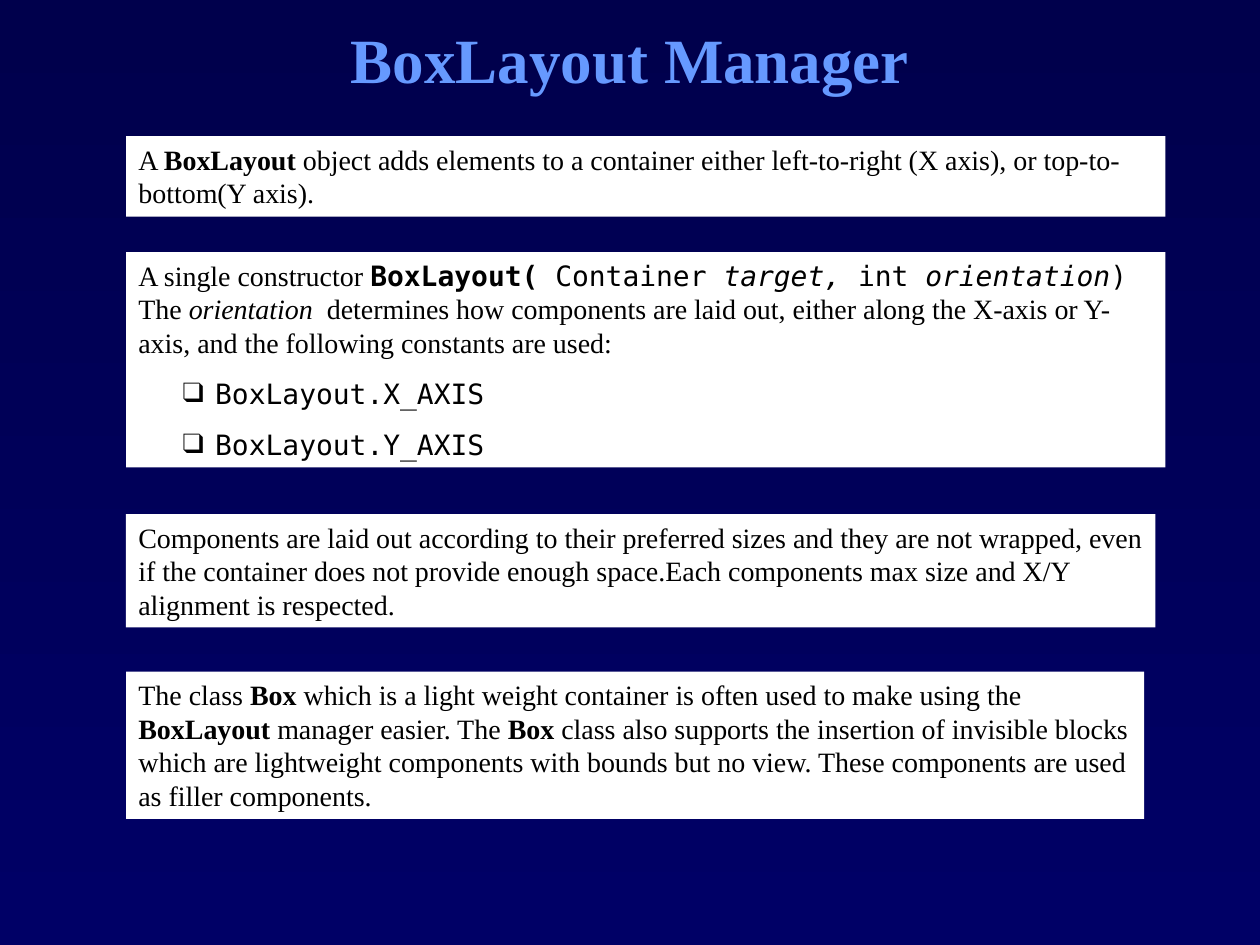
"""Build the BoxLayout Manager slide."""
from dataclasses import dataclass

from lxml import etree
from pptx import Presentation
from pptx.dml.color import RGBColor
from pptx.enum.shapes import MSO_SHAPE
from pptx.enum.text import MSO_ANCHOR, MSO_AUTO_SIZE, PP_ALIGN
from pptx.oxml.ns import qn
from pptx.util import Inches, Pt

RECTANGLE = MSO_SHAPE.RECTANGLE
TOP, MIDDLE = MSO_ANCHOR.TOP, MSO_ANCHOR.MIDDLE
LEFT, CENTER = PP_ALIGN.LEFT, PP_ALIGN.CENTER
NO_FIT, GROW = MSO_AUTO_SIZE.NONE, MSO_AUTO_SIZE.SHAPE_TO_FIT_TEXT

NAVY_TOP = RGBColor(0x00, 0x00, 0x4C)
NAVY_BOTTOM = RGBColor(0x00, 0x00, 0x66)
TITLE_BLUE = RGBColor(0x66, 0x99, 0xFF)
WHITE = RGBColor(0xFF, 0xFF, 0xFF)
BLACK = RGBColor(0x00, 0x00, 0x00)
SERIF = "Times New Roman"
MONO = "DejaVu Sans Mono"


@dataclass(frozen=True)
class Span:
    text: str
    bold: bool = False
    italic: bool = False
    font: str = SERIF


@dataclass(frozen=True)
class Line:
    spans: tuple[Span, ...]
    bulleted: bool = False


@dataclass(frozen=True)
class Panel:
    top: float
    width: float
    height: float
    lines: tuple[Line, ...]


PANELS = (
    Panel(1.08, 8.25, 0.64, (Line((
        Span("A "),
        Span("BoxLayout ", bold=True),
        Span("object adds elements to a container either left-to-right (X axis), "
             "or top-to-bottom(Y axis)."),
    )),)),
    Panel(2, 8.25, 1.71, (
        Line((
            Span("A single constructor "),
            Span("BoxLayout( ", bold=True, font=MONO),
            Span("Container ", font=MONO),
            Span("target, ", italic=True, font=MONO),
            Span("int ", font=MONO),
            Span("orientation", italic=True, font=MONO),
            Span(") ", font=MONO),
            Span("The "),
            Span("orientation ", italic=True),
            Span(" determines how components are laid out, either along the X-axis "
                 "or Y-axis, and the following constants are used:"),
        )),
        Line((Span("BoxLayout.X_AXIS", font=MONO),), bulleted=True),
        Line((Span("BoxLayout.Y_AXIS", font=MONO),), bulleted=True),
    )),
    Panel(4.08, 8.17, 0.9, (Line((
        Span("Components are laid out according to their preferred sizes and they "
             "are not wrapped, even if the container does not provide enough "
             "space.Each components max size and X/Y alignment is respected."),
    )),)),
    Panel(5.33, 8.08, 1.17, (Line((
        Span("The class "),
        Span("Box", bold=True),
        Span(" which is a light weight container is often used to make using the "),
        Span("BoxLayout ", bold=True),
        Span("manager easier. The "),
        Span("Box ", bold=True),
        Span("class also supports the insertion of invisible blocks which are "
             "lightweight components with bounds but no view. These components "
             "are used as filler components."),
    )),)),
)


def add_bullet(paragraph) -> None:
    """Give the paragraph a hanging box bullet."""
    properties = paragraph._p.get_or_add_pPr()
    properties.set("marL", str(Inches(0.61)))
    properties.set("indent", str(Inches(-0.26)))
    etree.SubElement(properties, qn("a:buFont"), typeface=SERIF)
    etree.SubElement(properties, qn("a:buChar"), char="❑")


def fill_paragraph(paragraph, line: Line) -> None:
    """Write the spans of one line into a paragraph."""
    paragraph.alignment = LEFT
    if line.bulleted:
        paragraph.level = 1
        paragraph.space_before = Pt(10)
        add_bullet(paragraph)
    for span in line.spans:
        run = paragraph.add_run()
        run.text = span.text
        run.font.name = span.font
        run.font.size = Pt(16)
        run.font.bold = span.bold
        run.font.italic = span.italic
        run.font.color.rgb = BLACK


def add_panel(page, panel: Panel) -> None:
    """Draw one white panel with its text."""
    box = page.shapes.add_shape(RECTANGLE, Inches(1), Inches(panel.top),
                                Inches(panel.width), Inches(panel.height))
    box.shadow.inherit = False
    box.fill.solid()
    box.fill.fore_color.rgb = WHITE
    box.line.fill.background()
    frame = box.text_frame
    frame.word_wrap = True
    frame.auto_size = GROW
    frame.vertical_anchor = TOP
    for index, line in enumerate(panel.lines):
        paragraph = frame.add_paragraph() if index else frame.paragraphs[0]
        fill_paragraph(paragraph, line)


def set_title(page, text: str) -> None:
    """Place and format the slide title."""
    title = page.shapes.title
    title.left, title.top = Inches(0.75), Inches(0)
    title.width, title.height = Inches(8.5), Inches(0.92)
    frame = title.text_frame
    frame.text = text
    frame.auto_size = NO_FIT
    frame.vertical_anchor = MIDDLE
    frame.paragraphs[0].alignment = CENTER
    font = frame.paragraphs[0].runs[0].font
    font.name = SERIF
    font.size = Pt(36)
    font.bold = True
    font.color.rgb = TITLE_BLUE


def set_background(page) -> None:
    """Shade the page from top to bottom."""
    fill = page.background.fill
    fill.gradient()
    fill.gradient_angle = 270
    for stop, color in zip(fill.gradient_stops, (NAVY_TOP, NAVY_BOTTOM)):
        stop.color.rgb = color


def main() -> None:
    """Build and save the deck."""
    deck = Presentation()
    deck.slide_width, deck.slide_height = Inches(10), Inches(7.5)
    page = deck.slides.add_slide(deck.slide_layouts.get_by_name("Title Only"))
    set_background(page)
    set_title(page, "BoxLayout Manager")
    for panel in PANELS:
        add_panel(page, panel)
    deck.save("out.pptx")


if __name__ == "__main__":
    main()
